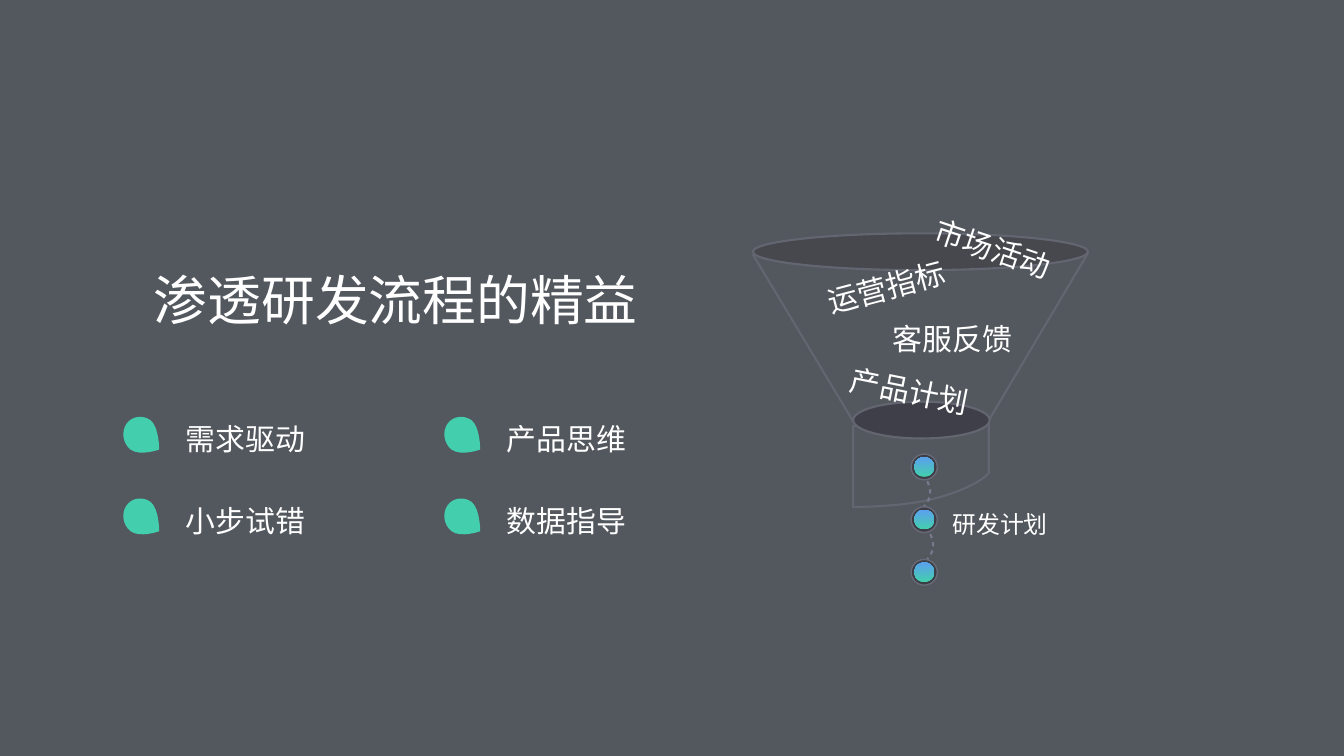
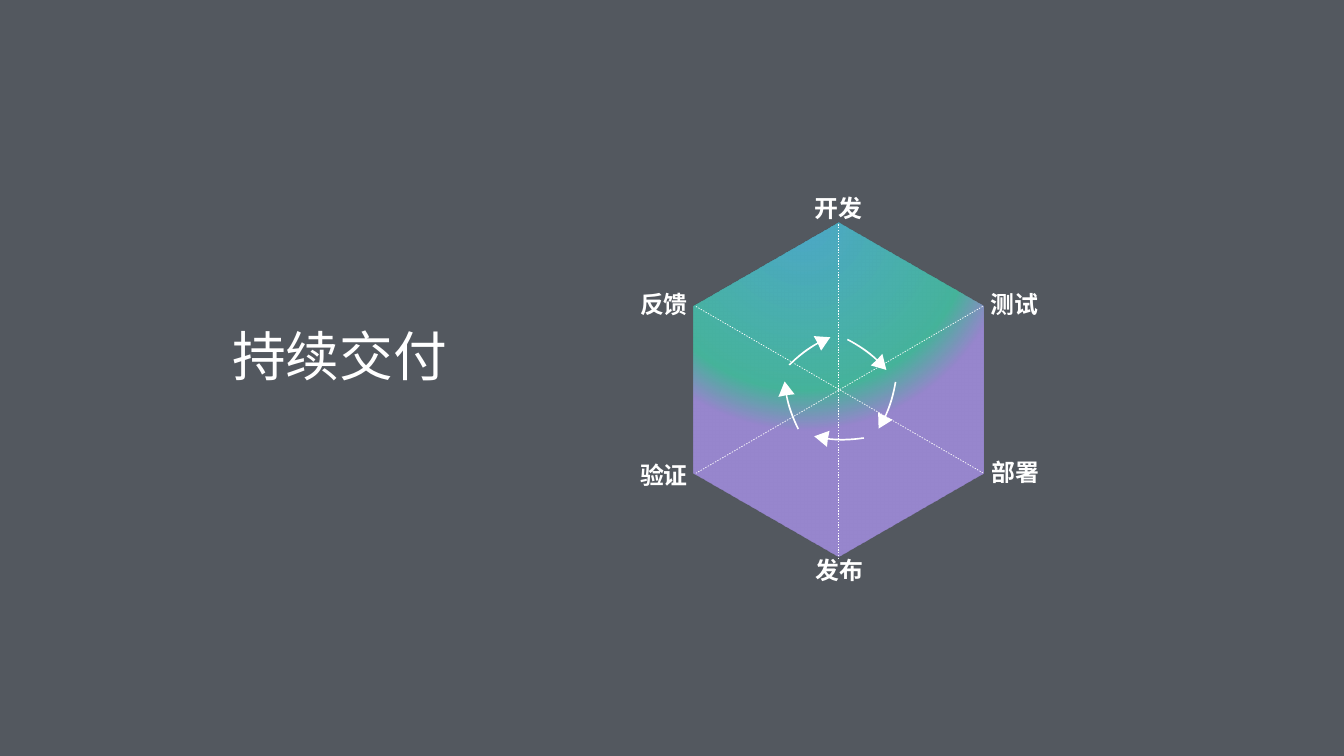
import math
from pptx import Presentation, oxml
from pptx import util as u
from pptx.dml import color
from pptx.enum import shapes, text
from pptx.oxml import ns
from lxml import etree

FACE = "Noto Sans CJK SC"
WHITE, SLATE, GREEN, BLUE = "FFFFFF", "53585F", "43CFAD", "5BA0EE"
EDGE, RING = "636670", "676977"
LEFT, MID, RIGHT = text.PP_ALIGN.LEFT, text.PP_ALIGN.CENTER, text.PP_ALIGN.RIGHT
hue = color.RGBColor.from_string


def write(box, words, at, size, align=LEFT, bold=False, inset=0.04, gap=1.0,
          indent=0, turn=0, wrap=False):
    box.left, box.top, box.width, box.height = [u.Inches(v) for v in at]
    box.rotation = turn
    frame = box.text_frame
    frame.text = words
    frame.word_wrap = wrap
    frame.auto_size = text.MSO_AUTO_SIZE.NONE
    frame.vertical_anchor = text.MSO_ANCHOR.MIDDLE if inset else text.MSO_ANCHOR.TOP
    frame.margin_left = frame.margin_right = u.Inches(inset)
    frame.margin_top = frame.margin_bottom = u.Inches(inset)
    para = frame.paragraphs[0]
    props = para._p.get_or_add_pPr()
    props.set("marL", str(u.Inches(indent)))
    props.set("indent", "0")
    etree.SubElement(props, ns.qn("a:buNone"))
    para.alignment = align
    para.line_spacing = gap
    para.space_before = u.Pt(0)
    font = para.runs[0].font
    font.size, font.bold, font.name = u.Pt(size), bold, FACE
    font.color.rgb = hue(WHITE)
    east = etree.SubElement(para.runs[0]._r.get_or_add_rPr(), ns.qn("a:ea"))
    east.set("typeface", FACE)


def draw(page, at, legs=(), size=None, fill=None, line=None, width=3, shut=True):
    x, y = at
    if size:
        item = page.shapes.add_shape(shapes.MSO_SHAPE.OVAL, *[u.Inches(v) for v in (x, y, *size)])
    else:
        dots = [(p * 1000, q * 1000) for leg in legs for p, q in zip(leg[::2], leg[1::2])]
        pen = page.shapes.build_freeform(x * 1000, y * 1000, scale=914.4)
        pen.add_line_segments(dots, close=shut)
        item = pen.convert_to_shape()
        parts = list(item._element.iter(ns.qn("a:lnTo")))
        for leg in legs:
            trio = [parts.pop(0) for _ in leg[::2]]
            if len(trio) == 3:
                curve = etree.Element(ns.qn("a:cubicBezTo"))
                trio[0].addprevious(curve)
                for part in trio:
                    curve.append(part[0])
                    part.getparent().remove(part)
    item.shadow.inherit = False
    if fill:
        item.fill.solid()
        item.fill.fore_color.rgb = hue(fill)
    else:
        item.fill.background()
    if line:
        item.line.color.rgb = hue(line)
        item.line.width = u.Pt(width)
    else:
        item.line.fill.background()
    return item


deck = Presentation()
deck.slide_width, deck.slide_height = u.Inches(26.67), u.Inches(15)
back = deck.slide_master.background.fill
back.solid()
back.fore_color.rgb = hue(SLATE)
dashed = []

lean = deck.slides.add_slide(deck.slide_layouts.get_by_name("Comparison"))
write(lean.shapes.title, "渗透研发流程的精益", (2.55, 5.49, 10.19, 1.11), 76.8, MID, gap=0.8, indent=0.42)

draw(lean, (16.93, 8.45), [(16.93, 10.06), (16.93, 10.06, 17.85, 10.06, 18.48, 9.91),
     (19.39, 9.68, 19.62, 9.39, 19.62, 9.39), (19.62, 8.32)], line=EDGE)
draw(lean, (14.94, 5.05), [(16.93, 8.36), (19.61, 8.36), (21.59, 5.02)], line=EDGE)
draw(lean, (14.94, 4.63), size=(6.65, 0.73), fill="46484E", line=EDGE)
draw(lean, (16.93, 7.97), size=(2.71, 0.73), fill="3E3F49", line=EDGE)

inputs = [("产品计划", 16.52, 7.4, 3.07, 11.3), ("客服反馈", 17.48, 6.36, 2.83, 0),
          ("运营指标", 16.17, 5.34, 2.83, 345.2), ("市场活动", 18.29, 4.57, 2.83, 18.6)]
for words, x, y, wide, turn in inputs:
    box = lean.shapes.add_textbox(0, 0, 0, 0)
    write(box, words, (x, y, wide, 0.72), 42.7, MID, inset=0, turn=turn, wrap=True)

for n in range(3):
    y = 9.01 + 1.045 * n
    draw(lean, (18.08, y), size=(0.52, 0.51), fill="3D3D46", line=RING, width=2)
    bead = draw(lean, (18.14, y + 0.06), size=(0.4, 0.39))
    bead.fill.gradient()
    bead.fill.gradient_angle = 90
    for stop, tone in zip(bead.fill.gradient_stops, (GREEN, BLUE)):
        stop.color.rgb = hue(tone)
    if n < 2:
        x, y = 18.4 + 0.06 * n, 9.55 + 1.05 * n
        link = draw(lean, (x, y), [(x, y, x + 0.08, y + 0.13, x + 0.05, y + 0.29),
                    (x + 0.02, y + 0.45, x - 0.14, y + 0.58, x - 0.14, y + 0.58)],
                    line="79798D", shut=False)
        dashed.append(link)

write(lean.shapes.add_textbox(0, 0, 0, 0), "研发计划", (18.43, 10.11, 2.83, 0.57), 34.1, MID,
      inset=0, wrap=True)

leaf = [(0.71, 0.21, 0.71, 0.65, 0.71, 0.65), (0.71, 0.65, 0.33, 0.79, 0.14, 0.65),
        (-0.01, 0.53, -0.05, 0.3, 0.06, 0.14), (0.17, -0.02, 0.39, -0.04, 0.54, 0.07)]
for n, words in enumerate(["需求驱动", "小步试错", "产品思维", "数据指导"]):
    x, y = 2.45 + 6.37 * (n // 2), 8.27 + 1.62 * (n % 2)
    legs = [[v + (y if k % 2 else x) for k, v in enumerate(leg)] for leg in leaf]
    draw(lean, (x + 0.54, y + 0.07), legs, fill=GREEN)
    write(lean.placeholders[n + 1], words, (x + 1.2, y + 0.18, 2.47, 0.65), 42.7, gap=0.8)

flow = deck.slides.add_slide(deck.slide_layouts.get_by_name("Title Only"))
write(flow.shapes.title, "持续交付", (4.55, 6.6, 4.38, 1.11), 76.8, MID, gap=0.8)

tips = []
for n in range(6):
    turn = math.radians(60 * n - 90)
    tips.append((16.64 + 3.32 * math.cos(turn), 7.73 + 3.32 * math.sin(turn)))
hexa = draw(flow, tips[0], tips[1:], fill=GREEN)
stops = "".join(
    f'<a:gs pos="{spot}000"><a:srgbClr val="{tone}"><a:alpha val="{clear}000"/></a:srgbClr></a:gs>'
    for spot, tone, clear in [(0, "4BC2EB", 75), (36, "47C9CC", 76), (76, GREEN, 76), (94, "AC93EE", 77)])
glow = oxml.parse_xml(
    f'<a:gradFill {ns.nsdecls("a")} rotWithShape="1"><a:gsLst>{stops}</a:gsLst><a:path path="circle">'
    '<a:fillToRect l="38000" t="-20000" r="62000" b="120000"/></a:path></a:gradFill>')
props = hexa._element.spPr
props.replace(props.find(ns.qn("a:solidFill")), glow)

spokes = [(13.81, 6.08, 19.5, 9.38), (19.5, 6.08, 13.81, 9.39), (16.64, 4.45, 16.64, 11.07)]
for ends in spokes:
    spoke = flow.shapes.add_connector(shapes.MSO_CONNECTOR.STRAIGHT, *[u.Inches(v) for v in ends])
    spoke.line.color.rgb = hue(WHITE)
    spoke.line.width = u.Pt(1)
    etree.SubElement(spoke._element.spPr, ns.qn("a:effectLst"))
    dashed.append(spoke)

for item in dashed:
    dash = etree.SubElement(item.line._get_or_add_ln(), ns.qn("a:custDash"))
    etree.SubElement(dash, ns.qn("a:ds"), d="200000", sp="200000")

steps = [("反馈", 12.66, 5.7, RIGHT), ("验证", 12.66, 9.1, RIGHT), ("发布", 16.15, 10.98, MID),
         ("开发", 16.13, 3.81, MID), ("测试", 19.61, 5.7, LEFT), ("部署", 19.63, 9.04, LEFT)]
for words, x, y, align in steps:
    write(flow.shapes.add_textbox(0, 0, 0, 0), words, (x, y, 1.03, 0.65), 34.1, align, bold=True)

arrow = [(0.39, 0.3), (0.08, 0.21), (0.19, 0.11), (0.01, -0.05, -0.18, -0.18, -0.39, -0.29),
         (-0.38, -0.32), (-0.17, -0.21, 0.04, -0.08, 0.21, 0.09), (0.31, -0.02)]
spots = [(17.2, 7.04), (17.6, 8.04), (16.65, 8.67), (15.71, 8.04), (16.07, 6.97)]
for n, (x, y) in enumerate(spots):
    c, s = math.cos(math.radians(72 * n)), math.sin(math.radians(72 * n))
    legs = []
    for leg in arrow:
        pairs = zip(leg[::2], leg[1::2])
        legs.append([v for p, q in pairs for v in (x + p * c - q * s, y + p * s + q * c)])
    draw(flow, legs[0], legs[1:], fill=WHITE)

deck.save("out.pptx")
